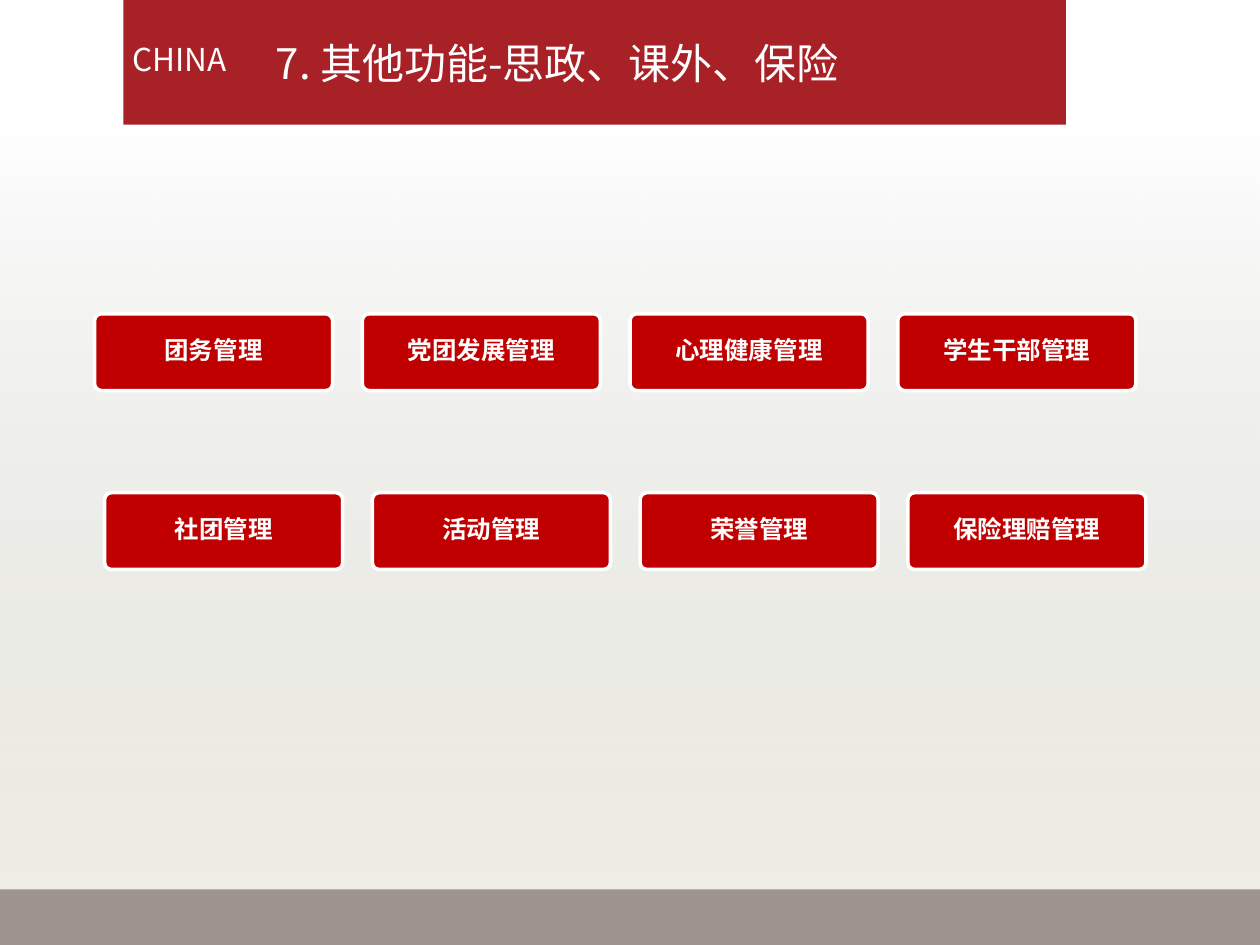
"""Build the slide listing the ideology, extracurricular and insurance functions."""
from dataclasses import dataclass

from lxml import etree
from pptx import Presentation
from pptx.dml.color import RGBColor
from pptx.enum.shapes import MSO_SHAPE
from pptx.enum.text import MSO_ANCHOR, PP_ALIGN
from pptx.oxml.ns import qn
from pptx.util import Inches, Pt

RECTANGLE = MSO_SHAPE.RECTANGLE
ROUNDED = MSO_SHAPE.ROUNDED_RECTANGLE
LEFT, CENTER = PP_ALIGN.LEFT, PP_ALIGN.CENTER
MIDDLE = MSO_ANCHOR.MIDDLE


@dataclass(frozen=True)
class Theme:
    font: str = "Noto Sans CJK SC"
    white: str = "FFFFFF"
    banner: str = "A72127"
    footer: str = "9E948D"
    button: str = "C00000"
    haze_top: str = "646356"
    haze_bottom: str = "D9D7B9"
    title_size: int = 24
    label_size: int = 18
    button_size: int = 14


@dataclass(frozen=True)
class Box:
    left: float
    top: float
    width: float
    height: float

    def emu(self) -> tuple:
        return tuple(Inches(v) for v in (self.left, self.top, self.width, self.height))


@dataclass(frozen=True)
class ButtonRow:
    left: float
    top: float
    labels: tuple


THEME = Theme()
WIDTH, HEIGHT = 10, 7.5
BANNER_HEIGHT = 0.99
FOOTER_HEIGHT = 0.44
BUTTON_WIDTH, BUTTON_HEIGHT, COLUMN_PITCH = 1.89, 0.61, 2.125
ROWS = (
    ButtonRow(0.75, 2.49, ("团务管理", "党团发展管理", "心理健康管理", "学生干部管理")),
    ButtonRow(0.83, 3.91, ("社团管理", "活动管理", "荣誉管理", "保险理赔管理")),
)


def write(frame, text: str, size: int, align=LEFT, bold: bool = False):
    """Put one white paragraph into a text frame and return it."""
    paragraph = frame.paragraphs[0]
    paragraph.text = text
    paragraph.alignment = align
    font = paragraph.font
    font.size, font.bold = Pt(size), bold
    font.color.rgb = RGBColor.from_string(THEME.white)
    font.name = THEME.font
    latin = paragraph._p.pPr.find(qn("a:defRPr")).find(qn("a:latin"))
    east_asian = etree.Element(qn("a:ea"), typeface=THEME.font)
    latin.addnext(east_asian)
    return paragraph


def add_block(slide, box: Box, color: str, preset=RECTANGLE):
    """Add a flat filled shape without outline."""
    block = slide.shapes.add_shape(preset, *box.emu())
    block.shadow.inherit = False
    block.fill.solid()
    block.fill.fore_color.rgb = RGBColor.from_string(color)
    block.line.fill.background()
    return block


def add_haze(slide) -> None:
    """Add the translucent gradient below the banner."""
    haze = add_block(slide, Box(0, BANNER_HEIGHT, WIDTH, HEIGHT - BANNER_HEIGHT), THEME.white)
    haze.fill.gradient()
    haze.fill.gradient_angle = 270
    tones = ((THEME.haze_top, 0), (THEME.haze_bottom, 38))
    for stop, (color, opacity) in zip(haze.fill.gradient_stops, tones):
        stop.color.rgb = RGBColor.from_string(color)
    for tone, (color, opacity) in zip(haze._element.spPr.iter(qn("a:srgbClr")), tones):
        etree.SubElement(tone, qn("a:alpha"), val=str(opacity * 1000))


def add_button(slide, box: Box, label: str) -> None:
    """Add a rounded function button."""
    button = add_block(slide, box, THEME.button, ROUNDED)
    button.adjustments[0] = 0.09
    button.line.color.rgb = RGBColor.from_string(THEME.white)
    button.line.width = Pt(2)
    button.text_frame.word_wrap = False
    button.text_frame.vertical_anchor = MIDDLE
    write(button.text_frame, label, THEME.button_size, CENTER, True).line_spacing = 0.8


def place_title(slide, text: str) -> None:
    """Move the title placeholder in front of the banner and format it."""
    title = slide.shapes.title
    title.left, title.top, title.width, title.height = Box(2.09, 0, 4.96, 1).emu()
    title.text_frame.word_wrap = True
    title.text_frame.vertical_anchor = MIDDLE
    write(title.text_frame, text, THEME.title_size)
    slide.shapes._spTree.append(title._element)


def main() -> None:
    """Assemble and save the slide."""
    deck = Presentation()
    deck.slide_width, deck.slide_height = Inches(WIDTH), Inches(HEIGHT)
    slide = deck.slides.add_slide(deck.slide_layouts[5])
    slide.background.fill.solid()
    slide.background.fill.fore_color.rgb = RGBColor.from_string(THEME.white)
    add_haze(slide)
    add_block(slide, Box(0.98, 0, 7.48, BANNER_HEIGHT), THEME.banner)
    country = slide.shapes.add_textbox(*Box(0.95, 0.27, 2.36, 0.4).emu())
    country.text_frame.word_wrap = True
    write(country.text_frame, "CHINA", THEME.label_size)
    add_block(slide, Box(0, HEIGHT - FOOTER_HEIGHT, WIDTH, FOOTER_HEIGHT), THEME.footer)
    place_title(slide, "7. 其他功能-思政、课外、保险")
    for row in ROWS:
        for column, label in enumerate(row.labels):
            left = row.left + column * COLUMN_PITCH
            add_button(slide, Box(left, row.top, BUTTON_WIDTH, BUTTON_HEIGHT), label)
    deck.save("out.pptx")


if __name__ == "__main__":
    main()
